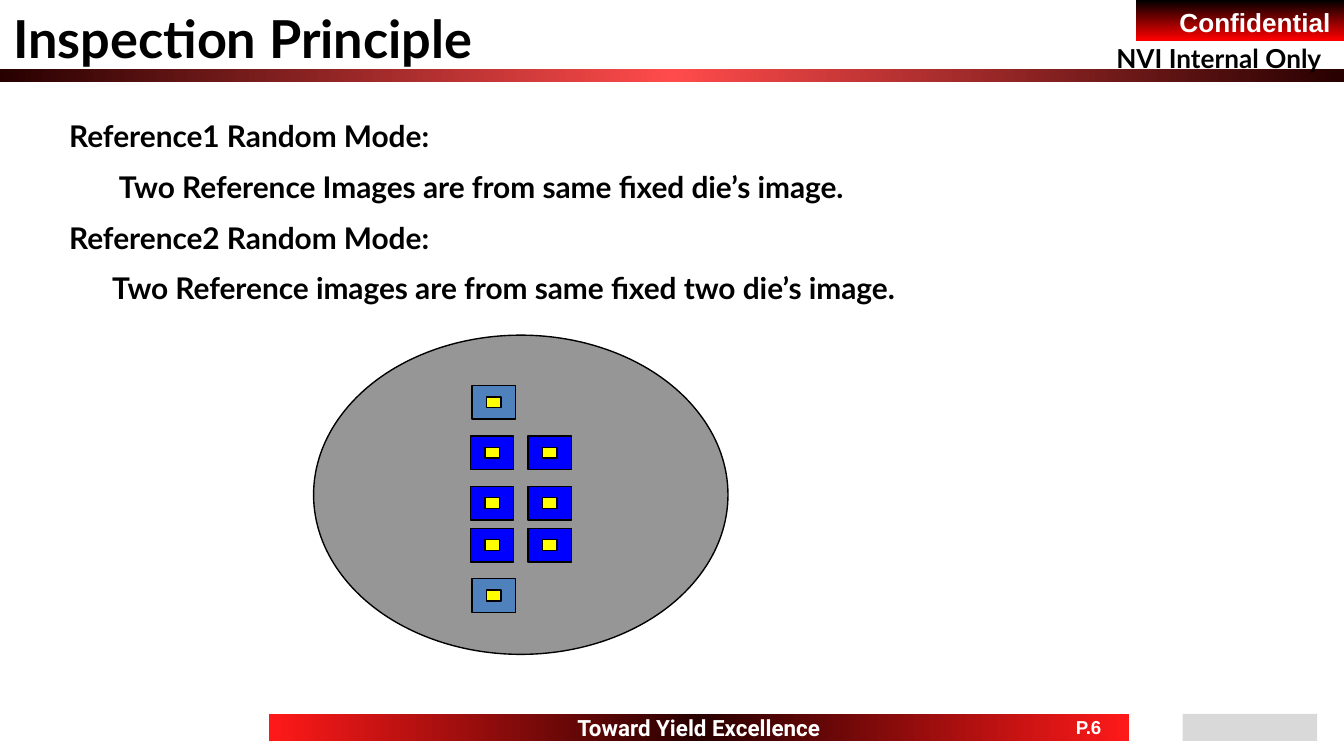
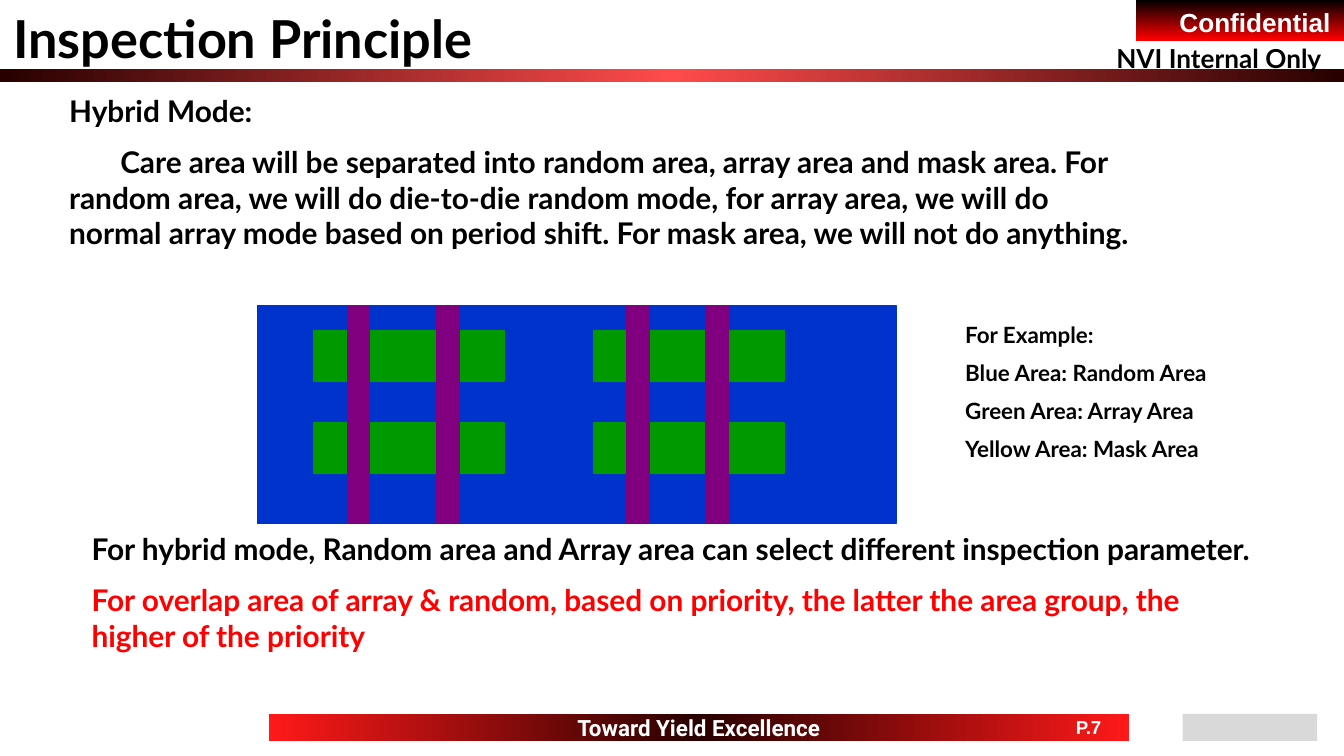
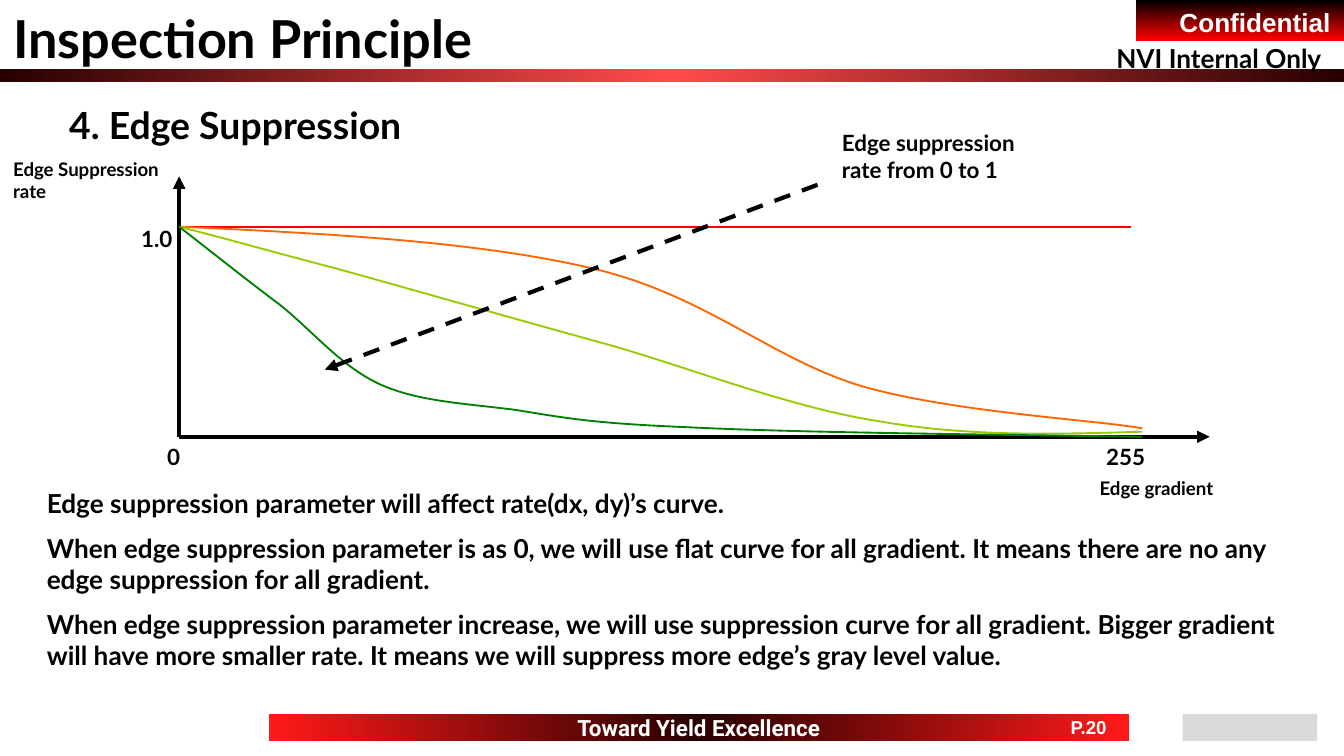
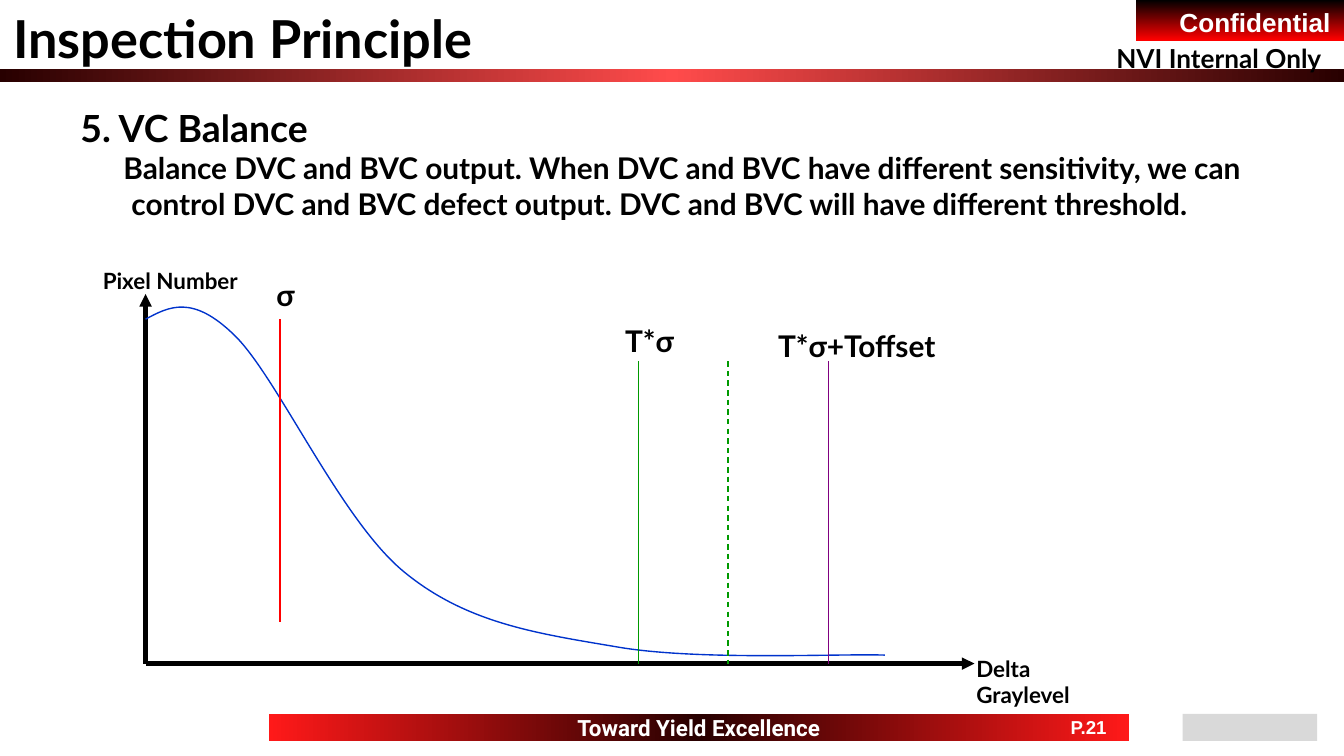
from dataclasses import dataclass
from itertools import product

from lxml.etree import SubElement
from pptx import Presentation
from pptx.dml.color import RGBColor
from pptx.enum.dml import MSO_LINE
from pptx.enum.shapes import MSO_CONNECTOR, MSO_SHAPE
from pptx.enum.text import MSO_ANCHOR, MSO_AUTO_SIZE, PP_ALIGN
from pptx.oxml.ns import qn
from pptx.util import Emu, Inches, Pt

# Grid: 120 columns by 90 rows
COL = Inches(1) / 12
ROW = Inches(1) / 16
COLS, ROWS = 120, 90

COLORS = {
    "black": "000000", "white": "FFFFFF", "red": "FF0000",
    "maroon": "280000", "coral": "FF4B4B", "scarlet": "FF1919",
    "wafer": "969696", "die": "0000FF", "edge_die": "4F81BD", "target": "FFFF00",
    "blue": "0033CC", "green": "009900", "purple": "800080",
    "orange": "FF6600", "lime": "99CC00", "dark_green": "008000",
    "corner": "D9D9D9",
}


@dataclass
class Box:
    col: float
    row: float
    cols: float
    rows: float

    def inner(self, col, row, cols, rows):
        return Box(self.col + col, self.row + row, cols, rows)

    def point(self, col, row):
        return round((self.col + col) * COL), round((self.row + row) * ROW)

    def emu(self):
        return (*self.point(0, 0), round(self.cols * COL), round(self.rows * ROW))


@dataclass
class Para:
    text: str
    size: float = 0
    color: str = ""
    left: float = 0
    first: float = 0


def rgb(name):
    return RGBColor.from_string(COLORS[name])


# Text
def write(shape, paras, size, color="black", font="Lato", align=PP_ALIGN.LEFT,
          gap=True, anchor=MSO_ANCHOR.TOP, wrap=True, grow=True):
    frame = shape.text_frame
    frame.word_wrap = wrap
    frame.vertical_anchor = anchor
    frame.auto_size = MSO_AUTO_SIZE.SHAPE_TO_FIT_TEXT if grow else MSO_AUTO_SIZE.NONE
    for index, item in enumerate(paras):
        para = item if isinstance(item, Para) else Para(item)
        line = frame.add_paragraph() if index else frame.paragraphs[0]
        line.alignment = align
        if para.left or para.first:
            props = line._p.get_or_add_pPr()
            props.set("marL", str(Inches(para.left)))
            props.set("indent", str(Inches(para.first)))
        if index and gap:
            line.space_before = Pt((para.size or size) / 2)
        run = line.add_run()
        run.text = para.text
        run.font.size = Pt(para.size or size)
        run.font.name = font
        run.font.bold = True
        run.font.color.rgb = rgb(para.color or color)


def label(slide, box, paras, size, **style):
    write(slide.shapes.add_textbox(*box.emu()), paras, size, **style)


# Shapes and lines
def block(slide, box, fill=None, outline=None, kind=MSO_SHAPE.RECTANGLE):
    shape = slide.shapes.add_shape(kind, *box.emu())
    shape.shadow.inherit = False
    if fill:
        shape.fill.solid()
        shape.fill.fore_color.rgb = rgb(fill)
    if outline:
        shape.line.color.rgb = rgb(outline)
        shape.line.width = Pt(0.75)
    else:
        shape.line.fill.background()
    return shape


def gradient_block(slide, box, colors, angle=0):
    shape = block(slide, box)
    shape.fill.gradient()
    shape.fill.gradient_angle = angle
    stops = shape._element.spPr.find(".//" + qn("a:gsLst"))
    for stop in list(stops):
        stops.remove(stop)
    for index, color in enumerate(colors):
        position = 100000 * index // (len(colors) - 1)
        stop = SubElement(stops, qn("a:gs"), pos=str(position))
        SubElement(stop, qn("a:srgbClr"), val=COLORS[color])
    return shape


def line(slide, box, start, end, color="black", width=0.75, dashed=False, arrow=False):
    rule = slide.shapes.add_connector(
        MSO_CONNECTOR.STRAIGHT, *box.point(*start), *box.point(*end))
    rule.line.color.rgb = rgb(color)
    rule.line.width = Pt(width)
    if dashed:
        rule.line.dash_style = MSO_LINE.DASH
    if arrow:
        SubElement(rule.line._get_or_add_ln(), qn("a:tailEnd"), type="triangle")
    SubElement(rule._element.spPr, qn("a:effectLst"))


def curve(slide, box, points, color, width):
    """Draw a chain of cubic curves: a start, then three points for each."""
    start, *rest = [box.point(*point) for point in points]
    builder = slide.shapes.build_freeform(*start)
    builder.add_line_segments(rest, close=False)
    shape = builder.convert_to_shape()
    shape.shadow.inherit = False
    shape.fill.background()
    shape.line.color.rgb = rgb(color)
    shape.line.width = Pt(width)
    segments = list(shape._element.spPr.iter(qn("a:lnTo")))
    outline = segments[0].getparent()
    for first in range(0, len(segments), 3):
        cubic = SubElement(outline, qn("a:cubicBezTo"))
        for segment in segments[first:first + 3]:
            cubic.append(segment[0])
            outline.remove(segment)


def axes(slide, box, x_end, y_top):
    corner = (0, box.rows)
    for tip in ((x_end, box.rows), (0, y_top)):
        line(slide, box, corner, tip, width=2.25, arrow=True)


# What every slide shares
def new_slide(deck, page):
    slide = deck.slides.add_slide(deck.slide_layouts[6])
    gradient_block(slide, Box(0, 8.2, COLS, 1.6), ["maroon", "coral", "maroon"])
    badge = gradient_block(slide, Box(101.4, 0, 18.6, 4.8), ["black", "red"], 270)
    write(badge, ["Confidential"], 14, "white", "Arial", PP_ALIGN.RIGHT)
    footer = gradient_block(slide, Box(24, 85, 76.8, 3.2),
                            ["scarlet", "maroon", "scarlet"])
    centred = dict(align=PP_ALIGN.CENTER, anchor=MSO_ANCHOR.MIDDLE,
                   wrap=False, grow=False)
    write(footer, ["Toward Yield Excellence"], 12, "white", "Roboto", **centred)
    label(slide, Box(93.6, 85, 7.2, 3.2), [f"P.{page}"], 10, color="white",
          font="Arial", **centred)
    label(slide, Box(98.5, 4.2, 21.6, 5.4), ["NVI Internal Only"], 14, wrap=False)
    block(slide, Box(105.6, 85, 12, 3.2), "corner")
    label(slide, Box(0, 0, 68, 9.1), ["Inspection Principle"], 28)
    return slide


# Reference modes
def wafer(slide, box):
    block(slide, box, "wafer", "black", MSO_SHAPE.OVAL)
    left, right = 14, 19.15
    dies = [(left + 0.15, row, "edge_die") for row in (6, 29)]
    dies += [(col, row, "die") for col, row in product((left, right), (12, 18, 23))]
    for col, row, fill in dies:
        die = box.inner(col, row, 3.87, 4)
        block(slide, die, fill, "black")
        block(slide, die.inner(1.29, 1.35, 1.3, 1.3), "target", "black")


def reference_slide(deck):
    slide = new_slide(deck, 6)
    label(slide, Box(5, 13.25, 98, 25.3), [
        "Reference1 Random Mode:",
        Para("Two Reference Images are from same fixed die’s image.", first=0.37),
        "Reference2 Random Mode:",
        Para("Two Reference images are from same fixed two die’s image.", first=0.32),
    ], 16)
    wafer(slide, Box(28, 39.9, 37, 38))


# Hybrid mode
def area_map(slide, box):
    block(slide, box, "blue", "blue")
    for col, row in product((5, 30), (3, 14)):
        block(slide, box.inner(col, row, 17, 6), "green", "green")
    for col in (8, 16, 33, 40):
        block(slide, box.inner(col, 0, 2, box.rows), "purple", "purple")


def hybrid_slide(deck):
    slide = new_slide(deck, 7)
    label(slide, Box(5, 10.25, 98, 25.3), [
        "Hybrid Mode:",
        Para("Care area will be separated into random area, array area and mask area. "
             "For random area, we will do die-to-die random mode, for array area, we "
             "will do normal array mode based on period shift. For mask area, we will "
             "not do anything.", first=0.38),
    ], 16)
    area_map(slide, Box(23, 36.35, 57, 26))
    label(slide, Box(7, 62.4, 106, 21), [
        "For hybrid mode, Random area and Array area can select different inspection "
        "parameter.",
        Para("For overlap area of array & random, based on priority, the latter the "
             "area group, the higher of the priority", color="red"),
    ], 16)
    label(slide, Box(85, 37.4, 29.3, 19.4), [
        "For Example:", "Blue Area: Random Area",
        "Green Area: Array Area", "Yellow Area: Mask Area",
    ], 12)


# Edge suppression
SUPPRESSION_CURVES = {
    "orange": [(0, 0), (13.4, 0.8), (26.9, 1.8), (37, 5),
               (47.1, 8.2), (52.9, 15.8), (61, 19),
               (69.1, 22.1), (81.8, 23), (86, 24)],
    "lime": [(0, 0), (3.9, 1.3), (7.8, 2.8), (14.1, 5),
             (20.6, 7.4), (30.3, 11.1), (38.5, 14.1),
             (46.5, 17.2), (54.8, 21.6), (62.7, 23.2),
             (70.6, 25), (78.3, 24.7), (86, 24.4)],
    "dark_green": [(0, 0), (3, 3.1), (6, 6.3), (9, 9.3),
                   (12, 12.5), (14.5, 16.7), (18, 18.8),
                   (21.4, 20.8), (25.3, 21), (30, 21.8),
                   (34.7, 22.8), (36.7, 23.4), (46, 23.9),
                   (55.3, 24.5), (70.6, 24.7), (86, 25)],
}


def suppression_plot(slide, box):
    axes(slide, box, 92, -6)
    line(slide, box, (0, 0), (85, 0), "red", 1)
    for color, points in SUPPRESSION_CURVES.items():
        curve(slide, box, points, color, 1)
    line(slide, box, (57, -5), (13, 17), width=2.25, dashed=True, arrow=True)
    label(slide, box.inner(81, 29, 19.4, 4.3), ["Edge gradient"], 10)
    label(slide, box.inner(-16, -9, 16.8, 7), ["Edge Suppression rate"], 10)
    label(slide, box.inner(58, -12.4, 19, 8), ["Edge suppression rate from 0 to 1"], 12)
    for text, col, row, cols in (("0", -3, 25, 5), ("255", 80, 25, 9), ("1.0", -5, -1, 6)):
        label(slide, box.inner(col, row, cols, 4.8), [text], 12, align=PP_ALIGN.CENTER)


def suppression_slide(deck):
    slide = new_slide(deck, 20)
    label(slide, Box(5, 11.4, 66, 7), ["4. Edge Suppression"], 20)
    suppression_plot(slide, Box(16, 27, 86, 25))
    label(slide, Box(3, 57.3, 113.8, 24.2), [
        "Edge suppression parameter will affect rate(dx, dy)’s curve.",
        "When edge suppression parameter is as 0, we will use flat curve for all "
        "gradient. It means there are no any edge suppression for all gradient.",
        "When edge suppression parameter increase, we will use suppression curve for "
        "all gradient. Bigger gradient will have more smaller rate. It means we will "
        "suppress more edge’s gray level value.",
    ], 14)


# VC balance
PIXEL_CURVE = [(0, 0), (2.1, -1.5), (4.2, -3), (8, 2),
               (11.8, 7), (17.4, 23.8), (23, 30),
               (28.6, 36.2), (34.9, 37.4), (42, 39),
               (49.2, 40.7), (62, 39.8), (66, 40)]


def threshold_plot(slide, box):
    axes(slide, box, 74, -3)
    label(slide, box.inner(-5, -7, 17, 4.8), ["Pixel Number"], 12)
    label(slide, box.inner(73, 39.15, 13, 8.2), ["Delta Graylevel"], 12)
    curve(slide, box, PIXEL_CURVE, "blue", 0.75)
    thresholds = ((12, 0, "red", False), (44, 5, "green", False),
                  (52, 5, "green", True), (61, 5, "purple", False))
    for col, top, color, dashed in thresholds:
        line(slide, box, (col, top), (col, top + 36), color, dashed=dashed)
    for text, col, row, cols in (("σ", 9, -5.9, 7), ("T*σ", 41, -0.4, 8),
                                 ("T*σ+Toffset", 53, 0.2, 21)):
        label(slide, box.inner(col, row, cols, 5.9), [text], 16, align=PP_ALIGN.CENTER)


def balance_slide(deck):
    slide = new_slide(deck, 21)
    label(slide, Box(6, 11.75, 111.7, 15.7), [
        Para("5. VC Balance", size=20, left=0.38, first=-0.38),
        Para("Balance DVC and BVC output. When DVC and BVC have different sensitivity, "
             "we can control DVC and BVC defect output. DVC and BVC will have different "
             "threshold.", left=0.38, first=-0.06),
    ], 16, gap=False)
    threshold_plot(slide, Box(13, 38, 66, 41))


def main():
    deck = Presentation()
    deck.slide_width = Emu(round(COLS * COL))
    deck.slide_height = Emu(round(ROWS * ROW))
    for build in (reference_slide, hybrid_slide, suppression_slide, balance_slide):
        build(deck)
    deck.save("out.pptx")


if __name__ == "__main__":
    main()
